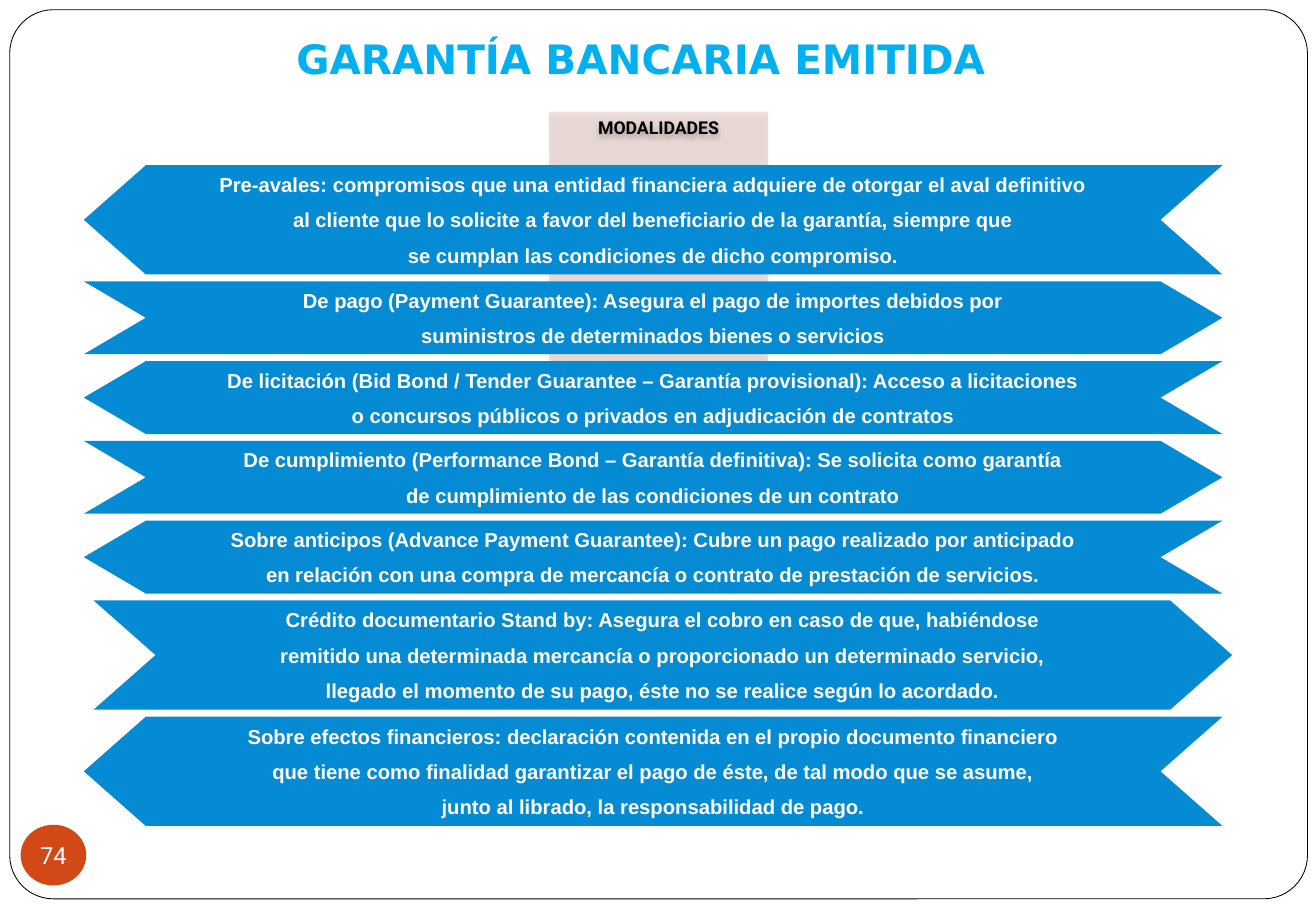
"""Build the slide on the types of issued bank guarantee."""
from lxml.etree import SubElement
from pptx import Presentation
from pptx.dml.color import RGBColor
from pptx.enum.shapes import MSO_SHAPE
from pptx.enum.text import MSO_ANCHOR, PP_ALIGN
from pptx.oxml.ns import qn
from pptx.util import Inches, Pt

WIDTH, HEIGHT = 10.83, 7.5
LINE_HEIGHT, NOTCH = 0.3, 0.51
TOP, BOTTOM, LEFT, ARROW_WIDTH = 1.36, 6.8, 0.69, 9.37
ARROWS = [
    ["Pre-avales: compromisos que una entidad financiera adquiere de otorgar el aval definitivo",
     "al cliente que lo solicite a favor del beneficiario de la garantía, siempre que",
     "se cumplan las condiciones de dicho compromiso."],
    ["De pago (Payment Guarantee): Asegura el pago de importes debidos por",
     "suministros de determinados bienes o servicios"],
    ["De licitación (Bid Bond / Tender Guarantee – Garantía provisional): Acceso a licitaciones",
     "o concursos públicos o privados en adjudicación de contratos"],
    ["De cumplimiento (Performance Bond – Garantía definitiva): Se solicita como garantía",
     "de cumplimiento de las condiciones de un contrato"],
    ["Sobre anticipos (Advance Payment Guarantee): Cubre un pago realizado por anticipado",
     "en relación con una compra de mercancía o contrato de prestación de servicios."],
    ["Crédito documentario Stand by: Asegura el cobro en caso de que, habiéndose",
     "remitido una determinada mercancía o proporcionado un determinado servicio,",
     "llegado el momento de su pago, éste no se realice según lo acordado."],
    ["Sobre efectos financieros: declaración contenida en el propio documento financiero",
     "que tiene como finalidad garantizar el pago de éste, de tal modo que se asume,",
     "junto al librado, la responsabilidad de pago."],
]


def add_box(kind, left, top, width, height, fill):
    """Add a filled preset shape without line or shadow."""
    s = slide.shapes.add_shape(kind, Inches(left), Inches(top), Inches(width), Inches(height))
    s.shadow.inherit = False
    s.fill.solid()
    s.fill.fore_color.rgb = RGBColor.from_string(fill)
    s.line.fill.background()
    return s


def write(tf, lines, size, font, color, bold=True, align=PP_ALIGN.CENTER):
    """Write one paragraph per line, with space between them."""
    for i, line in enumerate(lines):
        p = tf.add_paragraph() if i else tf.paragraphs[0]
        p.alignment = align
        p.space_before = Pt(6.6 if i else 0)
        r = p.add_run()
        r.text = line
        r.font.size, r.font.name, r.font.bold = Pt(size), font, bold
        r.font.color.rgb = RGBColor.from_string(color)


prs = Presentation()
prs.slide_width, prs.slide_height = Inches(WIDTH), Inches(HEIGHT)
slide = prs.slides.add_slide(prs.slide_layouts[6])

frame = add_box(MSO_SHAPE.ROUNDED_RECTANGLE, 0.08, 0.08, WIDTH - 0.15, HEIGHT - 0.18, "FFFFFF")
frame.adjustments[0] = 0.049
frame.line.color.rgb = RGBColor.from_string("000000")
frame.line.width = Pt(0.5)

title = slide.shapes.add_textbox(Inches(2.34), Inches(0.23), Inches(6.16), Inches(0.5))
title.text_frame.word_wrap = False
write(title.text_frame, ["GARANTÍA BANCARIA EMITIDA"], 24, "DejaVu Sans", "00B0F0", align=PP_ALIGN.LEFT)

heading = add_box(MSO_SHAPE.RECTANGLE, 4.52, 0.92, 1.8, 2.2, "9B2D1F")
fill_color = heading.fill._xPr.find(qn("a:solidFill"))[0]
SubElement(fill_color, qn("a:alpha"), val="14000")
effects = heading._element.spPr.find(qn("a:effectLst"))
shadow = SubElement(effects, qn("a:outerShdw"), blurRad=str(Pt(3.5)), dist=str(Pt(2.2)),
                    dir="5400000", rotWithShape="0")
shadow_color = SubElement(shadow, qn("a:srgbClr"), val="000000")
SubElement(shadow_color, qn("a:alpha"), val="32000")
tf = heading.text_frame
tf.vertical_anchor = MSO_ANCHOR.TOP
tf.margin_top = tf.margin_bottom = Inches(0.04)
write(tf, ["MODALIDADES"], 10.5, "Roboto", "000000")

gap = (BOTTOM - TOP - LINE_HEIGHT * sum(map(len, ARROWS))) / (len(ARROWS) - 1)
top = TOP
for i, lines in enumerate(ARROWS):
    height = LINE_HEIGHT * len(lines)
    left = LEFT + (0.08 if i == 5 else 0)
    s = add_box(MSO_SHAPE.CHEVRON, left, top, ARROW_WIDTH, height, "058AD4")
    s.adjustments[0] = NOTCH / height
    tf = s.text_frame
    tf.word_wrap = True
    tf.vertical_anchor = MSO_ANCHOR.MIDDLE
    if i % 2 == 0:
        s.rotation = 180
        tf._txBody.bodyPr.set("rot", "10800000")
    write(tf, lines, 12, "Arial", "FFFFFF")
    top += height + gap

number = add_box(MSO_SHAPE.OVAL, 0.17, 6.79, 0.54, 0.5, "D34817")
tf = number.text_frame
tf.word_wrap = False
tf.vertical_anchor = MSO_ANCHOR.MIDDLE
tf.margin_left = tf.margin_right = tf.margin_top = tf.margin_bottom = 0
write(tf, ["74"], 14, "Roboto", "FFFFFF", bold=False)

prs.save("out.pptx")
